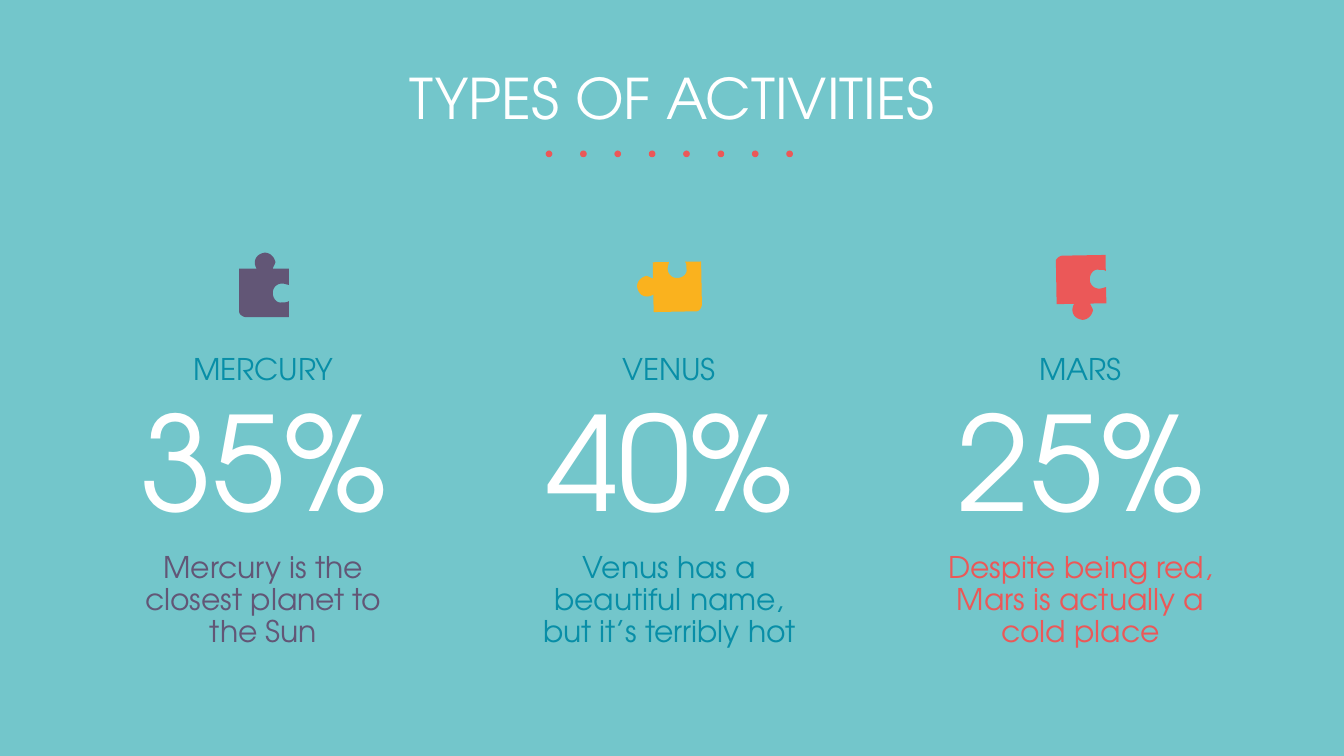
"""Build a slide that compares three types of activities."""
from dataclasses import dataclass
from math import cos, radians, sin

from pptx import Presentation
from pptx.dml.color import RGBColor
from pptx.enum.shapes import MSO_SHAPE
from pptx.enum.text import MSO_ANCHOR as Anchor, MSO_AUTO_SIZE as AutoSize, PP_ALIGN as Align
from pptx.util import Inches, Pt


@dataclass(frozen=True)
class Theme:
    """Hold the font, colours and type sizes of the slide."""
    font: str = "TeX Gyre Adventor"
    background: str = "73C6CB"
    white: str = "FFFFFF"
    teal: str = "088EA7"
    purple: str = "625676"
    yellow: str = "FAB21E"
    red: str = "EB5858"
    title_size: int = 30
    number_size: int = 70
    body_size: int = 16


THEME = Theme()

ACTIVITIES = [
    dict(center=1.96, name="MERCURY", share="35%", text="Mercury is the closest planet to the Sun",
         text_color=THEME.purple, icon_color=THEME.purple),
    dict(center=4.98, name="VENUS", share="40%", text="Venus has a beautiful name, but it’s terribly hot",
         text_color=THEME.teal, icon_color=THEME.yellow, angle=-91),
    dict(center=8.04, name="MARS", share="25%", text="Despite being red, Mars is actually a cold place",
         text_color=THEME.red, icon_color=THEME.red, angle=-1, flip=True),
]

PUZZLE_START = (0, -0.25)
PUZZLE_SEGMENTS = [
    [(0.04, -0.25), (0.07, -0.22), (0.08, -0.18)],
    [(0.08, -0.17), (0.06, -0.14), (0.06, -0.13)],
    [(0.18, -0.13)],
    [(0.18, -0.01)],
    [(0.17, -0.01), (0.15, -0.02), (0.13, -0.02)],
    [(0.09, -0.02), (0.06, 0.01), (0.06, 0.05)],
    [(0.06, 0.09), (0.09, 0.13), (0.13, 0.12)],
    [(0.15, 0.12), (0.17, 0.12), (0.18, 0.11)],
    [(0.18, 0.23)],
    [(-0.14, 0.23)],
    [(-0.16, 0.23), (-0.19, 0.21), (-0.19, 0.19)],
    [(-0.19, -0.13)],
    [(-0.06, -0.13)],
    [(-0.09, -0.18), (-0.07, -0.24), (0, -0.25)],
]


def color(value):
    """Return the colour for a hexadecimal value."""
    return RGBColor.from_string(value)


def write_text(shape, text, size, fill, anchor=Anchor.TOP, line_spacing=1.0, space_after=0):
    """Put one centred, formatted paragraph into a shape."""
    frame = shape.text_frame
    frame.text = text
    frame.word_wrap = True
    frame.auto_size = AutoSize.NONE
    frame.vertical_anchor = anchor
    frame.margin_left = frame.margin_right = Inches(0.1)
    frame.margin_top = frame.margin_bottom = Inches(0.1)
    paragraph = frame.paragraphs[0]
    paragraph.alignment = Align.CENTER
    paragraph.line_spacing = line_spacing
    paragraph.space_after = Pt(space_after)
    font = paragraph.runs[0].font
    font.name = THEME.font
    font.size = Pt(size)
    font.color.rgb = color(fill)


def add_text(slide, text, center, top, width, height, **text_format):
    """Add a text box centred on a column."""
    box = slide.shapes.add_textbox(Inches(center - width / 2), Inches(top), Inches(width), Inches(height))
    write_text(box, text, **text_format)


def paint(shape, fill):
    """Give a shape a flat fill without line or shadow."""
    shape.fill.solid()
    shape.fill.fore_color.rgb = color(fill)
    shape.line.fill.background()
    shape.shadow.inherit = False


def bezier_points(start, control_1, control_2, end, steps=10):
    """Return points along a cubic curve, leaving out its start."""
    points = []
    for step in range(1, steps + 1):
        t = step / steps
        weights = ((1 - t) ** 3, 3 * t * (1 - t) ** 2, 3 * t ** 2 * (1 - t), t ** 3)
        corners = (start, control_1, control_2, end)
        points.append(tuple(sum(w * c[axis] for w, c in zip(weights, corners)) for axis in (0, 1)))
    return points


def puzzle_outline():
    """Return the puzzle piece as points around its centre."""
    points = [PUZZLE_START]
    for segment in PUZZLE_SEGMENTS:
        points += bezier_points(points[-1], *segment) if len(segment) == 3 else segment
    return points


def add_puzzle_piece(slide, center, middle, fill, angle=0, flip=False):
    """Draw a puzzle piece, optionally flipped upside down and turned."""
    cosine, sine = cos(radians(angle)), sin(radians(angle))

    def place(x, y):
        """Turn a point and move it to its place on the slide."""
        y = -y if flip else y
        return Inches(center + x * cosine - y * sine), Inches(middle + x * sine + y * cosine)

    points = [place(*point) for point in puzzle_outline()]
    builder = slide.shapes.build_freeform(*points[0])
    builder.add_line_segments(points[1:], close=True)
    paint(builder.convert_to_shape(), fill)


def add_title(slide, text):
    """Place and format the title placeholder."""
    title = slide.shapes.title
    title.left, title.top = Inches(1.22), Inches(0.47)
    title.width, title.height = Inches(7.56), Inches(0.63)
    write_text(title, text, size=THEME.title_size, fill=THEME.white, line_spacing=0.8)


def add_dotted_rule(slide, first, last, top, count, size):
    """Draw a row of evenly spaced dots as one group."""
    group = slide.shapes.add_group_shape()
    pitch = (last - first) / (count - 1)
    for index in range(count):
        dot = group.shapes.add_shape(MSO_SHAPE.OVAL, Inches(first + index * pitch), Inches(top),
                                     Inches(size), Inches(size))
        paint(dot, THEME.red)


def add_activity(slide, center, name, share, text, text_color, icon_color, **turn):
    """Draw one column: icon, name, share and description."""
    add_text(slide, share, center, 3.03, 2.47, 1.07, size=THEME.number_size, fill=THEME.white,
             anchor=Anchor.BOTTOM)
    add_text(slide, text, center, 4.01, 2.18, 1.09, size=THEME.body_size, fill=text_color,
             line_spacing=0.9)
    add_text(slide, name, center, 2.47, 2.54, 0.4, size=THEME.body_size, fill=THEME.teal,
             line_spacing=1.15, space_after=16)
    add_puzzle_piece(slide, center + 0.01, 2.13, icon_color, **turn)


def main():
    """Build and save the presentation."""
    presentation = Presentation()
    presentation.slide_width = Inches(10)
    presentation.slide_height = Inches(10 * 9 / 16)
    slide = presentation.slides.add_slide(presentation.slide_layouts[5])
    slide.background.fill.solid()
    slide.background.fill.fore_color.rgb = color(THEME.background)
    add_title(slide, "TYPES OF ACTIVITIES")
    for activity in ACTIVITIES:
        add_activity(slide, **activity)
    add_dotted_rule(slide, first=4.06, last=5.85, top=1.12, count=8, size=0.05)
    presentation.save("out.pptx")


if __name__ == "__main__":
    main()
